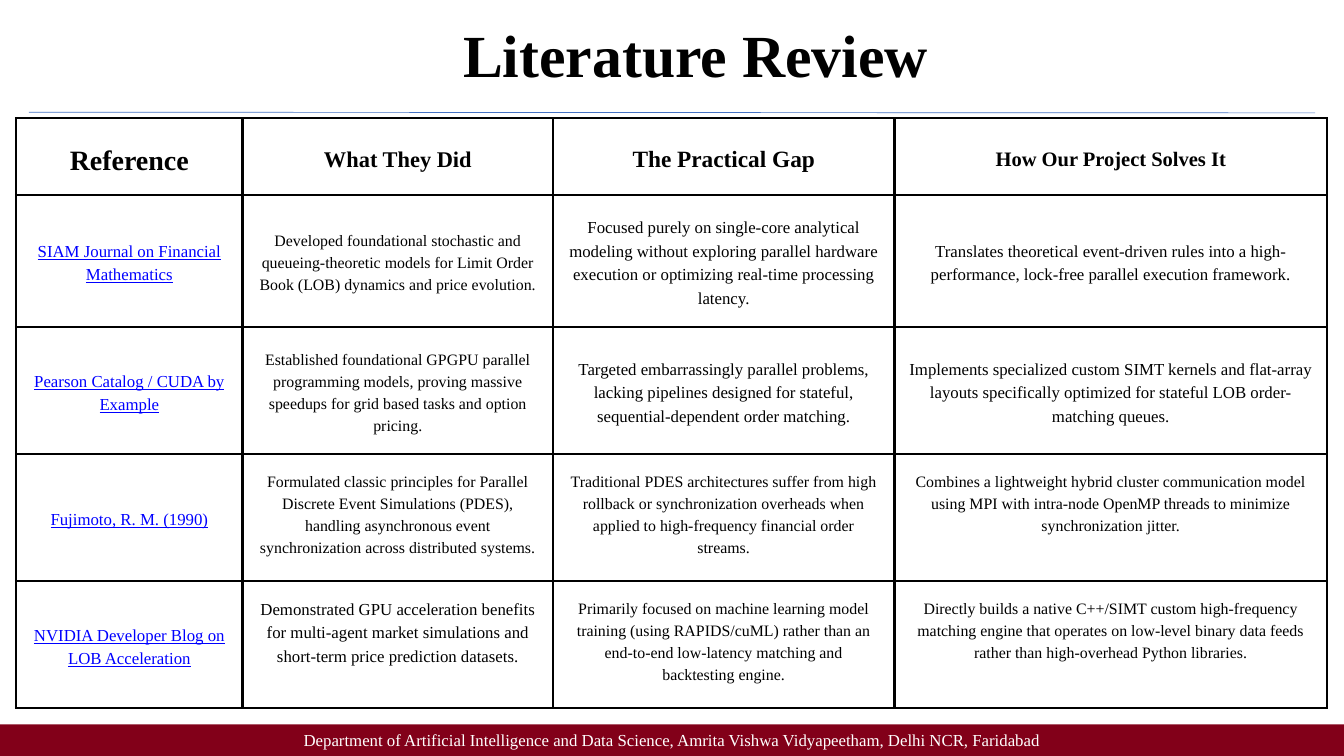
from lxml import etree
from pptx import Presentation
from pptx.dml.color import RGBColor
from pptx.enum.shapes import MSO_CONNECTOR, MSO_SHAPE
from pptx.enum.text import MSO_ANCHOR, MSO_AUTO_SIZE, PP_ALIGN
from pptx.oxml.ns import qn
from pptx.util import Inches, Pt

CENTER = PP_ALIGN.CENTER
TOP, MIDDLE = MSO_ANCHOR.TOP, MSO_ANCHOR.MIDDLE
NO_AUTOFIT = MSO_AUTO_SIZE.NONE
STRAIGHT = MSO_CONNECTOR.STRAIGHT
RECTANGLE = MSO_SHAPE.RECTANGLE

FONT = "Times New Roman"
COLORS = {
    "ink": "000000",
    "link": "0000FF",
    "rule": "4472C4",
    "footer": "820019",
    "footer_text": "FFFFFF",
}

COLUMN_WIDTHS = [3.37, 4.62, 5.08, 6.44]
ROW_HEIGHTS = [1.14, 1.97, 1.89, 1.89, 1.89]
HEADINGS = [
    ("Reference", 30),
    ("What They Did", 24),
    ("The Practical Gap", 25),
    ("How Our Project Solves It", 22),
]
STUDIES = [
    [
        ("SIAM Journal on Financial Mathematics", 18),
        ("Developed foundational stochastic and queueing-theoretic models for Limit Order Book (LOB) "
         "dynamics and price evolution.", 17),
        ("Focused purely on single-core analytical modeling without exploring parallel hardware "
         "execution or optimizing real-time processing latency.", 18),
        ("Translates theoretical event-driven rules into a high-performance, lock-free parallel "
         "execution framework.", 18),
    ],
    [
        ("Pearson Catalog / CUDA by Example", 18),
        ("Established foundational GPGPU parallel programming models, proving massive speedups for "
         "grid based tasks and option pricing.", 17),
        ("Targeted embarrassingly parallel problems, lacking pipelines designed for stateful, "
         "sequential-dependent order matching.", 18),
        ("Implements specialized custom SIMT kernels and flat-array layouts specifically optimized "
         "for stateful LOB order-matching queues.", 18),
    ],
    [
        ("Fujimoto, R. M. (1990)", 18),
        ("Formulated classic principles for Parallel Discrete Event Simulations (PDES), handling "
         "asynchronous event synchronization across distributed systems.", 17),
        ("Traditional PDES architectures suffer from high rollback or synchronization overheads when "
         "applied to high-frequency financial order streams.", 17),
        ("Combines a lightweight hybrid cluster communication model using MPI with intra-node OpenMP "
         "threads to minimize synchronization jitter.", 17),
    ],
    [
        ("NVIDIA Developer Blog on LOB Acceleration", 18),
        ("Demonstrated GPU acceleration benefits for multi-agent market simulations and short-term "
         "price prediction datasets.", 18),
        ("Primarily focused on machine learning model training (using RAPIDS/cuML) rather than an "
         "end-to-end low-latency matching and backtesting engine.", 17),
        ("Directly builds a native C++/SIMT custom high-frequency matching engine that operates on "
         "low-level binary data feeds rather than high-overhead Python libraries.", 17),
    ],
]
FIRST_TOP_ALIGNED_ROW = 3


def rgb(name):
    return RGBColor.from_string(COLORS[name])


def set_margins(owner, inches):
    owner.margin_left = owner.margin_right = Inches(inches)
    owner.margin_top = owner.margin_bottom = Inches(inches)


def write(frame, wording, size, color, leading, bold=False, underline=False):
    frame.text = wording
    paragraph = frame.paragraphs[0]
    paragraph.alignment = CENTER
    paragraph.line_spacing = Pt(round(size * leading, 1))
    font = paragraph.runs[0].font
    font.name, font.size = FONT, Pt(size)
    font.bold, font.underline = bold, underline
    font.color.rgb = rgb(color)


def add_title(slide, left, top, width, height):
    title = slide.shapes.title
    title.left, title.top = Inches(left), Inches(top)
    title.width, title.height = Inches(width), Inches(height)
    frame = title.text_frame
    frame.auto_size = NO_AUTOFIT
    frame.vertical_anchor = TOP
    set_margins(frame, 0)
    write(frame, "Literature Review", 64, "ink", 1.2, bold=True)


def add_rule(slide, left, top, width, height):
    rule = slide.shapes.add_connector(
        STRAIGHT, Inches(left), Inches(top), Inches(left + width), Inches(top + height))
    rule.line.color.rgb = rgb("rule")
    rule.line.width = Pt(0.75)
    etree.SubElement(rule.element.spPr, qn("a:effectLst"))


def add_footer(slide, left, top, width, height):
    footer = slide.shapes.add_shape(
        RECTANGLE, Inches(left), Inches(top), Inches(width), Inches(height))
    footer.shadow.inherit = False
    footer.fill.solid()
    footer.fill.fore_color.rgb = rgb("footer")
    footer.line.fill.background()
    frame = footer.text_frame
    frame.word_wrap = True
    frame.vertical_anchor = MIDDLE
    set_margins(frame, 0.06)
    write(frame, "Department of Artificial Intelligence and Data Science, "
          "Amrita Vishwa Vidyapeetham, Delhi NCR, Faridabad", 18, "footer_text", 1.2)


def add_borders(cell, points):
    properties = cell._tc.get_or_add_tcPr()
    for side in ("a:lnL", "a:lnR", "a:lnT", "a:lnB"):
        border = etree.SubElement(properties, qn(side), w=str(Pt(points)))
        fill = etree.SubElement(border, qn("a:solidFill"))
        etree.SubElement(fill, qn("a:srgbClr"), val=COLORS["ink"])


def add_review_table(slide, left, top, width, height):
    entries = [HEADINGS] + STUDIES
    review = slide.shapes.add_table(
        len(entries), len(HEADINGS), Inches(left), Inches(top), Inches(width), Inches(height)).table
    review.first_row = review.horz_banding = False
    for column, column_width in zip(review.columns, COLUMN_WIDTHS):
        column.width = Inches(column_width)
    for row, row_height in zip(review.rows, ROW_HEIGHTS):
        row.height = Inches(row_height)

    for row_index, row_entries in enumerate(entries):
        for column_index, (wording, size) in enumerate(row_entries):
            cell = review.cell(row_index, column_index)
            heading = row_index == 0
            reference = column_index == 0 and not heading
            top_aligned = row_index >= FIRST_TOP_ALIGNED_ROW and not reference
            set_margins(cell, 0.21)
            cell.vertical_anchor = TOP if top_aligned else MIDDLE
            add_borders(cell, 3)
            cell.fill.background()
            write(cell.text_frame, wording, size, "link" if reference else "ink", 1.4,
                  bold=heading, underline=reference)


def main():
    deck = Presentation()
    deck.slide_width, deck.slide_height = Inches(20), Inches(11.25)
    slide = deck.slides.add_slide(deck.slide_layouts[5])
    add_title(slide, 3.06, 0.26, 14.58, 2.17)
    add_rule(slide, 0.43, 1.67, 19.14, 0.01)
    add_footer(slide, 0, 10.78, 20, 0.47)
    add_review_table(slide, 0.24, 1.76, sum(COLUMN_WIDTHS), sum(ROW_HEIGHTS))
    deck.save("out.pptx")


if __name__ == "__main__":
    main()
